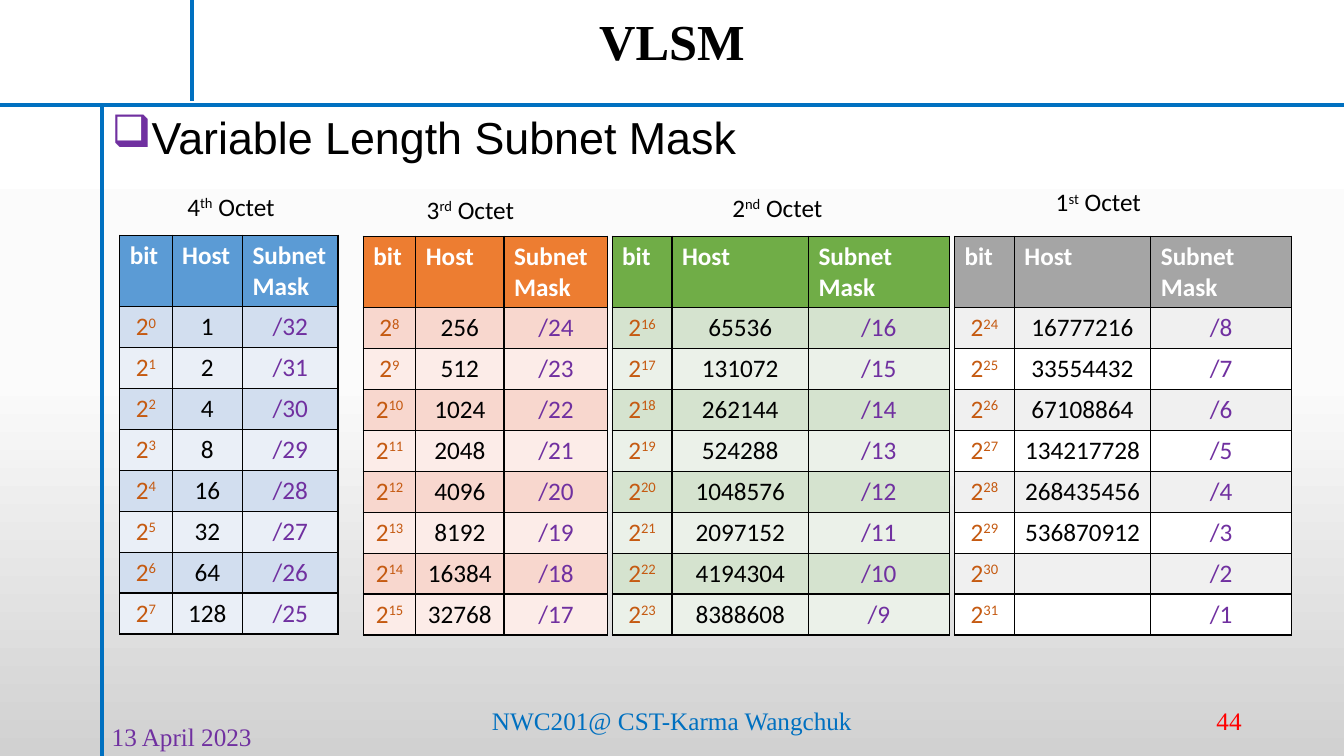
from copy import deepcopy
from dataclasses import dataclass

from lxml.etree import SubElement
from pptx import Presentation
from pptx.dml.color import RGBColor
from pptx.enum.shapes import MSO_CONNECTOR
from pptx.enum.text import MSO_ANCHOR, MSO_AUTO_SIZE, PP_ALIGN
from pptx.oxml import parse_xml
from pptx.oxml.ns import nsdecls, qn
from pptx.util import Pt

PX = 9525


@dataclass(frozen=True)
class Theme:
    black: str = "000000"
    white: str = "FFFFFF"
    blue: str = "0070C0"
    purple: str = "7030A0"
    red: str = "FF0000"
    brown: str = "C55A11"
    background: tuple = ((0, "FFFFFF"), (0.5, "FBFBFB"), (1, "D1D1D1"))
    serif: str = "Times New Roman"
    sans: str = "Arial"
    body: str = "Calibri"
    title_size: int = 36
    lead_size: int = 32
    text_size: int = 18
    rule_width: int = 3
    border_width: int = 1


THEME = Theme()

OCTETS = [
    dict(label=("4", "th"), label_box=(169, 177, 106, 38), origin=(114, 224),
         columns=(50, 67, 91), fills=("5B9BD5", "D2DEEF", "EAEFF7"),
         mask_heading=("Subnet", "Mask")),
    dict(label=("3", "rd"), label_box=(397, 180, 105, 38), origin=(346, 225),
         columns=(50, 84, 99), fills=("ED7D31", "F8D7CE", "FCECE8"),
         mask_heading=("Subnet Mask",)),
    dict(label=("2", "nd"), label_box=(688, 178, 108, 38), origin=(583, 225),
         columns=(57, 130, 134), fills=("70AD47", "D5E3CF", "EBF1E9"),
         mask_heading=("Subnet Mask",)),
    dict(label=("1", "st"), label_box=(996, 173, 103, 38), origin=(909, 225),
         columns=(57, 130, 134), fills=("A5A5A5", "F0F0F0", "FFFFFF"),
         mask_heading=("Subnet Mask",)),
]
BITS_PER_OCTET = 8
HIGHEST_LISTED_HOST_BIT = 29
HEADER_HEIGHT = 68
ROW_HEIGHT = 39


def emu(*lengths):
    return [length * PX for length in lengths]


def add_run(paragraph, text, color, font=THEME.body, size=THEME.text_size,
            bold=False, raised=False):
    run = paragraph.add_run()
    run.text = text
    run.font.name = font
    run.font.size = Pt(size)
    run.font.bold = bold
    run.font.color.rgb = RGBColor.from_string(color)
    if raised:
        run.font._element.set("baseline", "30000")


def add_text_box(slide, box, anchor=MSO_ANCHOR.TOP, wrap=True):
    frame = slide.shapes.add_textbox(*emu(*box)).text_frame
    frame.word_wrap = wrap
    frame.vertical_anchor = anchor
    return frame


def paint_background(slide):
    fill = slide.background.fill
    fill.gradient()
    fill.gradient_angle = 270
    stop_list = slide.element.find(".//" + qn("a:gsLst"))
    stop_list.insert(1, deepcopy(stop_list[0]))
    for stop, (position, color) in zip(fill.gradient_stops, THEME.background):
        stop.position = position
        stop.color.rgb = RGBColor.from_string(color)


def add_title(slide, box):
    title = slide.shapes.title
    title.left, title.top, title.width, title.height = emu(*box)
    frame = title.text_frame
    frame.auto_size = MSO_AUTO_SIZE.NONE
    frame.vertical_anchor = MSO_ANCHOR.BOTTOM
    paragraph = frame.paragraphs[0]
    paragraph.alignment = PP_ALIGN.CENTER
    paragraph.line_spacing = 0.9
    add_run(paragraph, "VLSM", THEME.black, THEME.serif, THEME.title_size, bold=True)


def add_lead(slide, box):
    paragraph = add_text_box(slide, box).paragraphs[0]
    properties = paragraph._p.get_or_add_pPr()
    properties.set("marL", str(36 * PX))
    properties.set("indent", str(-36 * PX))
    bullet_color = SubElement(properties, qn("a:buClr"))
    SubElement(bullet_color, qn("a:srgbClr"), val=THEME.purple)
    SubElement(properties, qn("a:buChar"), char="❑")
    add_run(paragraph, "Variable Length Subnet Mask", THEME.black, THEME.sans,
            THEME.lead_size)


def add_rules(slide, box):
    left, top, right, bottom = box
    for ends in ((0, top, right, top), (183, 0, 183, top - 4), (left, top, left, bottom)):
        line = slide.shapes.add_connector(MSO_CONNECTOR.STRAIGHT, *emu(*ends))
        line.line.color.rgb = RGBColor.from_string(THEME.blue)
        line.line.width = Pt(THEME.rule_width)
        SubElement(line._element.spPr, qn("a:effectLst"))


def add_footer(slide, box):
    left, top, width, height = box
    parts = [
        ("NWC201@ CST-Karma Wangchuk", THEME.blue, PP_ALIGN.CENTER, 327, 0, 432),
        ("44", THEME.red, PP_ALIGN.RIGHT, width - 288, 0, 288),
        ("13 April 2023", THEME.purple, PP_ALIGN.LEFT, 0, 15, 288),
    ]
    for text, color, alignment, x, y, part_width in parts:
        part_box = (left + x, top + y, part_width, height)
        paragraph = add_text_box(slide, part_box, MSO_ANCHOR.MIDDLE).paragraphs[0]
        paragraph.alignment = alignment
        add_run(paragraph, text, color, THEME.serif)


def format_cell(cell, fill_color):
    cell.fill.solid()
    cell.fill.fore_color.rgb = RGBColor.from_string(fill_color)
    properties = cell._tc.get_or_add_tcPr()
    for index, side in enumerate(("lnL", "lnR", "lnT", "lnB")):
        border = parse_xml(
            f'<a:{side} {nsdecls("a")} w="{Pt(THEME.border_width)}"><a:solidFill>'
            f'<a:srgbClr val="{THEME.black}"/></a:solidFill></a:{side}>')
        properties.insert(index, border)


def fill_header(table, mask_heading, fill_color):
    for cell, lines in zip(table.rows[0].cells, (("bit",), ("Host",), mask_heading)):
        format_cell(cell, fill_color)
        for index, line in enumerate(lines):
            frame = cell.text_frame
            paragraph = frame.add_paragraph() if index else frame.paragraphs[0]
            add_run(paragraph, line, THEME.white, bold=True)


def fill_bit_row(row, bit, fill_color):
    paragraphs = []
    for cell in row.cells:
        format_cell(cell, fill_color)
        paragraph = cell.text_frame.paragraphs[0]
        paragraph.alignment = PP_ALIGN.CENTER
        paragraphs.append(paragraph)
    power, host, mask = paragraphs
    add_run(power, "2", THEME.brown)
    add_run(power, str(bit), THEME.brown, raised=True)
    if bit <= HIGHEST_LISTED_HOST_BIT:
        add_run(host, str(2 ** bit), THEME.black)
    add_run(mask, f"/{32 - bit}", THEME.purple)


def add_octet_table(slide, octet, first_bit):
    columns = octet["columns"]
    header_fill, *band_fills = octet["fills"]
    box = (*octet["origin"], sum(columns), HEADER_HEIGHT + BITS_PER_OCTET * ROW_HEIGHT)
    table = slide.shapes.add_table(BITS_PER_OCTET + 1, len(columns), *emu(*box)).table
    table.horz_banding = False
    for column, width in zip(table.columns, columns):
        column.width = width * PX
    for index, row in enumerate(table.rows):
        row.height = (ROW_HEIGHT if index else HEADER_HEIGHT) * PX
        if index:
            fill_bit_row(row, first_bit + index - 1, band_fills[(index - 1) % 2])
    fill_header(table, octet["mask_heading"], header_fill)


def add_octet_label(slide, octet):
    number, ending = octet["label"]
    paragraph = add_text_box(slide, octet["label_box"], wrap=False).paragraphs[0]
    add_run(paragraph, number, THEME.black)
    add_run(paragraph, ending, THEME.black, raised=True)
    add_run(paragraph, " Octet", THEME.black)


def main():
    presentation = Presentation()
    presentation.slide_width, presentation.slide_height = emu(1280, 720)
    slide = presentation.slides.add_slide(presentation.slide_layouts[5])
    paint_background(slide)
    add_title(slide, (160, 10, 960, 63))
    add_lead(slide, (97, 100, 1183, 582))
    add_rules(slide, (97, 100, 1280, 720))
    add_footer(slide, (97, 667, 1095, 38))
    for index, octet in enumerate(OCTETS):
        add_octet_table(slide, octet, index * BITS_PER_OCTET)
        add_octet_label(slide, octet)
    presentation.save("out.pptx")


if __name__ == "__main__":
    main()
